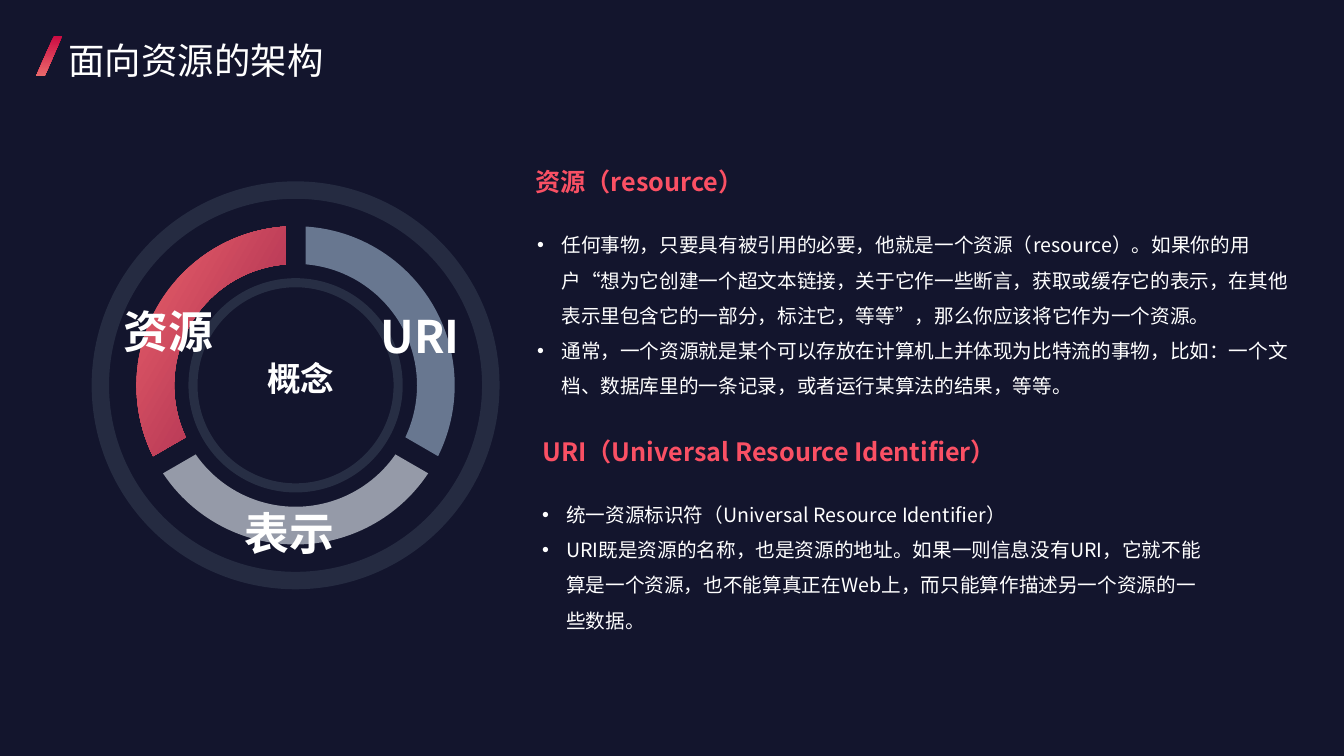
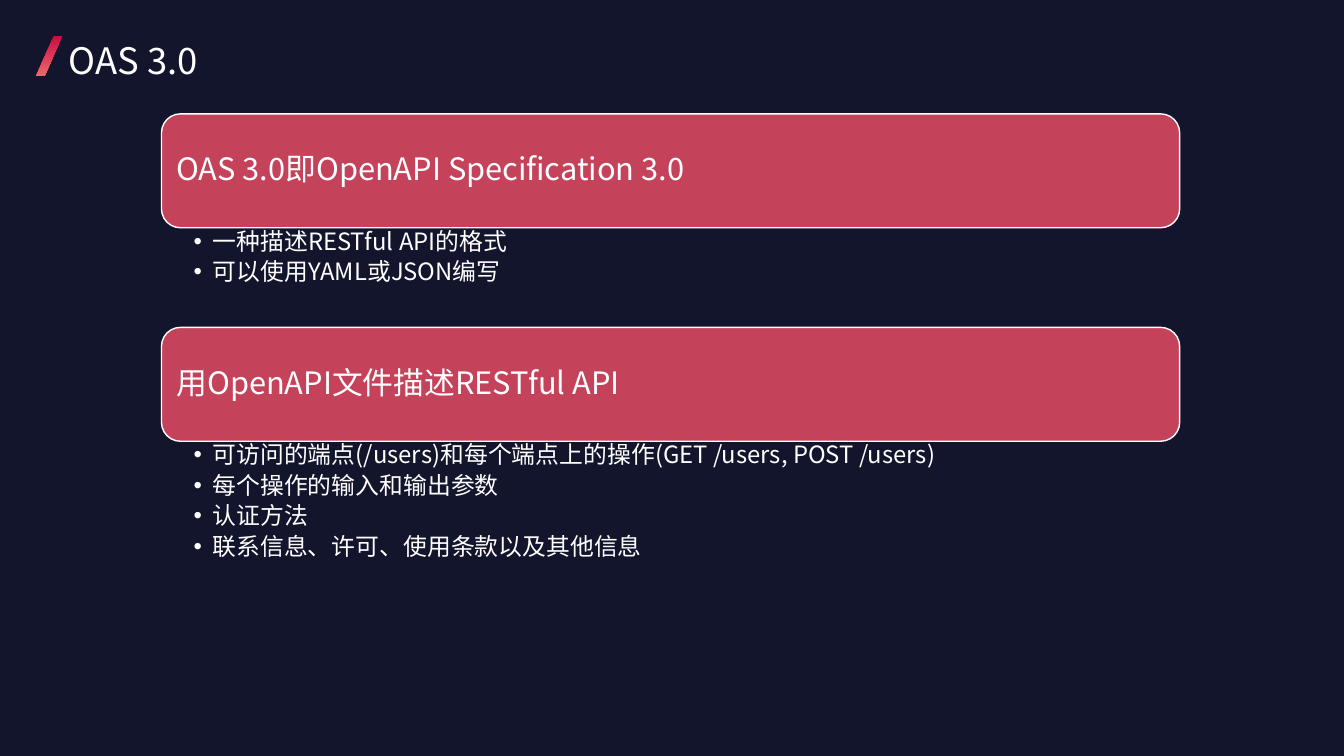
import math
from dataclasses import dataclass
from typing import Optional

import pptx
import pptx.dml.color
import pptx.enum.shapes
import pptx.enum.text
import pptx.oxml
import pptx.oxml.ns
import pptx.util
from pptx.dml.color import RGBColor
from pptx.util import Cm

FONT = "Noto Sans CJK SC"
NAVY = RGBColor(0x13, 0x15, 0x2D)
WHITE = RGBColor(0xFF, 0xFF, 0xFF)
CORAL = RGBColor(0xFA, 0x50, 0x64)
PANEL_RED = RGBColor(0xC4, 0x43, 0x5B)
SLASH_TOP = RGBColor(0xCC, 0x0C, 0x43)
SLASH_BOTTOM = RGBColor(0xEA, 0x69, 0x6B)
RING_GREY = RGBColor(0x3D, 0x48, 0x5D)
PALE_GREY = RGBColor(0xD6, 0xDC, 0xE5)
STEEL_BLUE = RGBColor(0x84, 0x97, 0xB0)
ROSE = RGBColor(0xDB, 0x55, 0x64)
WINE = RGBColor(0x9D, 0x23, 0x4C)

SHAPE = pptx.enum.shapes.MSO_SHAPE
ALIGN = pptx.enum.text.PP_ALIGN
ANCHOR = pptx.enum.text.MSO_ANCHOR

WHEEL_X, WHEEL_Y = 7.45, 9.71
SEGMENT_OUTER, SEGMENT_INNER = 4.01, 3.06
SEGMENT_HALF_GAP = 0.25
PANEL_LEFT, PANEL_WIDTH, PANEL_HEIGHT = 4.07, 25.66, 2.87
PANELS_TOP = 2.87


@dataclass(frozen=True)
class TextStyle:
    size: float
    color: RGBColor = WHITE
    bold: bool = False
    line_spacing: float = 1.5
    space_after: float = 0
    hanging: float = 0  # bullet indent in cm; 0 means no bullet
    align: Optional[ALIGN] = None


@dataclass(frozen=True)
class TextBlock:
    """A text box; lengths in cm, insets as left, top, right, bottom."""
    left: float
    top: float
    width: float
    height: float
    lines: tuple[str, ...]
    style: TextStyle
    insets: tuple[float, ...] = (0.25, 0.13, 0.25, 0.13)


@dataclass(frozen=True)
class Ring:
    diameter: float
    thickness: float
    opacity: int


@dataclass(frozen=True)
class Segment:
    start: float
    colors: tuple[RGBColor, ...]
    opacity: int = 100


@dataclass(frozen=True)
class Panel:
    heading: str
    items: tuple[str, ...]
    list_height: float


TITLE = TextStyle(26, line_spacing=1.2)
HEADING = TextStyle(18, CORAL, bold=True)
BODY = TextStyle(14, hanging=0.61)
WHEEL_LABEL = TextStyle(32, bold=True)
HUB_LABEL = TextStyle(24, bold=True, line_spacing=1, align=ALIGN.CENTER)
PANEL_HEADING = TextStyle(22, line_spacing=0.9)
PANEL_ITEM = TextStyle(17, line_spacing=0.9, space_after=3.4, hanging=0.48)

RINGS = (Ring(5.4, 0.23, 49), Ring(10.28, 0.44, 43))
SEGMENTS = (
    Segment(120, (PALE_GREY,), 67),
    Segment(240, (ROSE, WINE)),
    Segment(0, (STEEL_BLUE,), 76),
)
ARCHITECTURE_TEXTS = (
    TextBlock(5.23, 9.02, 4.7, 1.02, ("概念",), HUB_LABEL, (0, 0, 0, 0)),
    TextBlock(13.29, 5.45, 19.58, 4.75, (
        "任何事物，只要具有被引用的必要，他就是一个资源（resource）。如果你的用户“想为它创建一个超文本链接，"
        "关于它作一些断言，获取或缓存它的表示，在其他表示里包含它的一部分，标注它，等等”，"
        "那么你应该将它作为一个资源。",
        "通常，一个资源就是某个可以存放在计算机上并体现为比特流的事物，比如：一个文档、数据库里的一条记录，"
        "或者运行某算法的结果，等等。",
    ), BODY),
    TextBlock(13.24, 3.68, 20.12, 1.75, ("资源（resource）",), HEADING),
    TextBlock(13.41, 12.24, 17.42, 3.84, (
        "统一资源标识符（Universal Resource Identifier）",
        "URI既是资源的名称，也是资源的地址。如果一则信息没有URI，它就不能算是一个资源，"
        "也不能算真正在Web上，而只能算作描述另一个资源的一些数据。",
    ), BODY),
    TextBlock(13.42, 10.49, 14, 2.57, ("URI（Universal Resource Identifier）",), HEADING),
    TextBlock(9.35, 6.97, 2.9, 2.06, ("URI",), WHEEL_LABEL),
    TextBlock(5.92, 11.94, 3.07, 2.06, ("表示",), WHEEL_LABEL),
    TextBlock(2.87, 6.84, 2.92, 2.06, ("资源",), WHEEL_LABEL),
)
PANELS = (
    Panel("OAS 3.0即OpenAPI Specification 3.0", (
        "一种描述RESTful API的格式",
        "可以使用YAML或JSON编写",
    ), 2.51),
    Panel("用OpenAPI文件描述RESTful API", (
        "可访问的端点(/users)和每个端点上的操作(GET /users, POST /users)",
        "每个操作的输入和输出参数",
        "认证方法",
        "联系信息、许可、使用条款以及其他信息",
    ), 4.5),
)


def add_element(parent, tag: str, **attributes: str):
    child = parent.makeelement(pptx.oxml.ns.qn(tag), attributes)
    parent.append(child)
    return child


def fill_solid(sp, color: RGBColor, opacity: int = 100) -> None:
    sp.fill.solid()
    sp.fill.fore_color.rgb = color
    if opacity < 100:
        srgb = sp._element.spPr.find(".//" + pptx.oxml.ns.qn("a:srgbClr"))
        add_element(srgb, "a:alpha", val=str(opacity * 1000))


def fill_gradient(sp, colors: tuple[RGBColor, ...], clockwise: float, first_stop: float = 0) -> None:
    sp.fill.gradient()
    sp.fill.gradient_angle = 360 - clockwise
    for stop, color, position in zip(sp.fill.gradient_stops, colors, (first_stop, 1)):
        stop.color.rgb = color
        stop.position = position


def remove_outline(sp) -> None:
    sp.shadow.inherit = False
    sp.line.fill.background()


def write_text(tf, lines: tuple[str, ...], style: TextStyle, insets: tuple[float, ...]) -> None:
    tf.word_wrap = True
    tf.margin_left, tf.margin_top, tf.margin_right, tf.margin_bottom = map(Cm, insets)
    tf.text = "\n".join(lines)
    for p in tf.paragraphs:
        pPr = p._p.get_or_add_pPr()
        if style.hanging:
            pPr.set("marL", str(Cm(style.hanging)))
            pPr.set("indent", str(-Cm(style.hanging)))
            add_element(pPr, "a:buFont", typeface="Arial")
            add_element(pPr, "a:buChar", char="•")
        p.alignment = style.align or ALIGN.LEFT
        p.line_spacing = style.line_spacing
        p.space_after = pptx.util.Pt(style.space_after)
        for r in p.runs:
            r.font.size = pptx.util.Pt(style.size)
            r.font.bold = style.bold
            r.font.color.rgb = style.color
            r.font.name = FONT
            add_element(r._r.get_or_add_rPr(), "a:ea", typeface=FONT)


def add_text(s, block: TextBlock) -> None:
    sp = s.shapes.add_textbox(Cm(block.left), Cm(block.top), Cm(block.width), Cm(block.height))
    write_text(sp.text_frame, block.lines, block.style, block.insets)


def add_titled_slide(prs, title: str):
    s = prs.slides.add_slide(prs.slide_layouts[6])
    slash = s.shapes.add_shape(SHAPE.PARALLELOGRAM, Cm(0.91), Cm(0.91), Cm(0.66), Cm(1.01))
    slash.adjustments[0] = 0.676
    remove_outline(slash)
    fill_gradient(slash, (SLASH_TOP, SLASH_BOTTOM), 90)
    add_text(s, TextBlock(1.48, 0.61, 25.65, 2.03, (title,), TITLE))
    return s


def add_ring(s, ring: Ring) -> None:
    radius = ring.diameter / 2
    sp = s.shapes.add_shape(SHAPE.DONUT, Cm(WHEEL_X - radius), Cm(WHEEL_Y - radius),
                            Cm(ring.diameter), Cm(ring.diameter))
    sp.adjustments[0] = ring.thickness / ring.diameter
    remove_outline(sp)
    fill_solid(sp, RING_GREY, ring.opacity)


def arc_points(radius: float, start: float) -> list[tuple[int, int]]:
    """Two Bezier curves along a third of a circle, joined where it is widest."""
    trim = math.asin(SEGMENT_HALF_GAP / radius)
    first = math.radians(start) + trim
    middle = math.radians(90 * (start // 90 + 1))
    last = math.radians(start + 120) - trim

    def point(angle: float, tangent: float = 0) -> tuple[int, int]:
        x = math.sin(angle) + tangent * math.cos(angle)
        y = math.cos(angle) - tangent * math.sin(angle)
        return Cm(WHEEL_X + radius * x), Cm(WHEEL_Y - radius * y)

    points = [point(first)]
    for begin, end in ((first, middle), (middle, last)):
        handle = 4 / 3 * math.tan((end - begin) / 4)
        points += [point(begin, handle), point(end, -handle), point(end)]
    return points


def bend_lines(sp, first_lines: tuple[int, ...]) -> None:
    """Turn each run of three lines that starts at a given index into one curve."""
    lines = sp._element.spPr.findall(".//" + pptx.oxml.ns.qn("a:lnTo"))
    for i in first_lines:
        curve = lines[i].makeelement(pptx.oxml.ns.qn("a:cubicBezTo"), {})
        lines[i].addprevious(curve)
        for line in lines[i:i + 3]:
            curve.append(line[0])
            line.getparent().remove(line)


def add_segment(s, segment: Segment) -> None:
    outline = arc_points(SEGMENT_OUTER, segment.start) + arc_points(SEGMENT_INNER, segment.start)[::-1]
    builder = s.shapes.build_freeform(*outline[0])
    builder.add_line_segments(outline[1:], close=True)
    sp = builder.convert_to_shape()
    bend_lines(sp, (0, 3, 7, 10))
    remove_outline(sp)
    if len(segment.colors) > 1:
        fill_gradient(sp, segment.colors, 30, first_stop=0.2)
    else:
        fill_solid(sp, segment.colors[0], segment.opacity)


def add_panel(s, panel: Panel, top: float) -> float:
    """Draw a heading bar with its list and return where the next panel starts."""
    bar = s.shapes.add_shape(SHAPE.ROUNDED_RECTANGLE, Cm(PANEL_LEFT), Cm(top),
                             Cm(PANEL_WIDTH), Cm(PANEL_HEIGHT))
    bar.shadow.inherit = False
    fill_solid(bar, PANEL_RED)
    bar.line.color.rgb = WHITE
    bar.line.width = pptx.util.Pt(1)
    bar.text_frame.vertical_anchor = ANCHOR.MIDDLE
    # The rounded corners add their own inset to the text area.
    write_text(bar.text_frame, (panel.heading,), PANEL_HEADING, (0.24, 0.24, 0.24, 0.24))
    list_top = top + PANEL_HEIGHT
    add_text(s, TextBlock(PANEL_LEFT, list_top, PANEL_WIDTH, panel.list_height,
                          panel.items, PANEL_ITEM, (0.81, 0.05, 0.33, 0.05)))
    return list_top + panel.list_height


def build_architecture(prs) -> None:
    s = add_titled_slide(prs, "面向资源的架构")
    for ring in RINGS:
        add_ring(s, ring)
    for segment in SEGMENTS:
        add_segment(s, segment)
    for block in ARCHITECTURE_TEXTS:
        add_text(s, block)


def build_oas(prs) -> None:
    s = add_titled_slide(prs, "OAS 3.0")
    top = PANELS_TOP
    for panel in PANELS:
        top = add_panel(s, panel, top)


def main() -> None:
    prs = pptx.Presentation()
    prs.slide_width, prs.slide_height = Cm(33.87), Cm(19.05)
    background = prs.slide_master.background.fill
    background.solid()
    background.fore_color.rgb = NAVY
    build_architecture(prs)
    build_oas(prs)
    prs.save("out.pptx")


if __name__ == "__main__":
    main()
